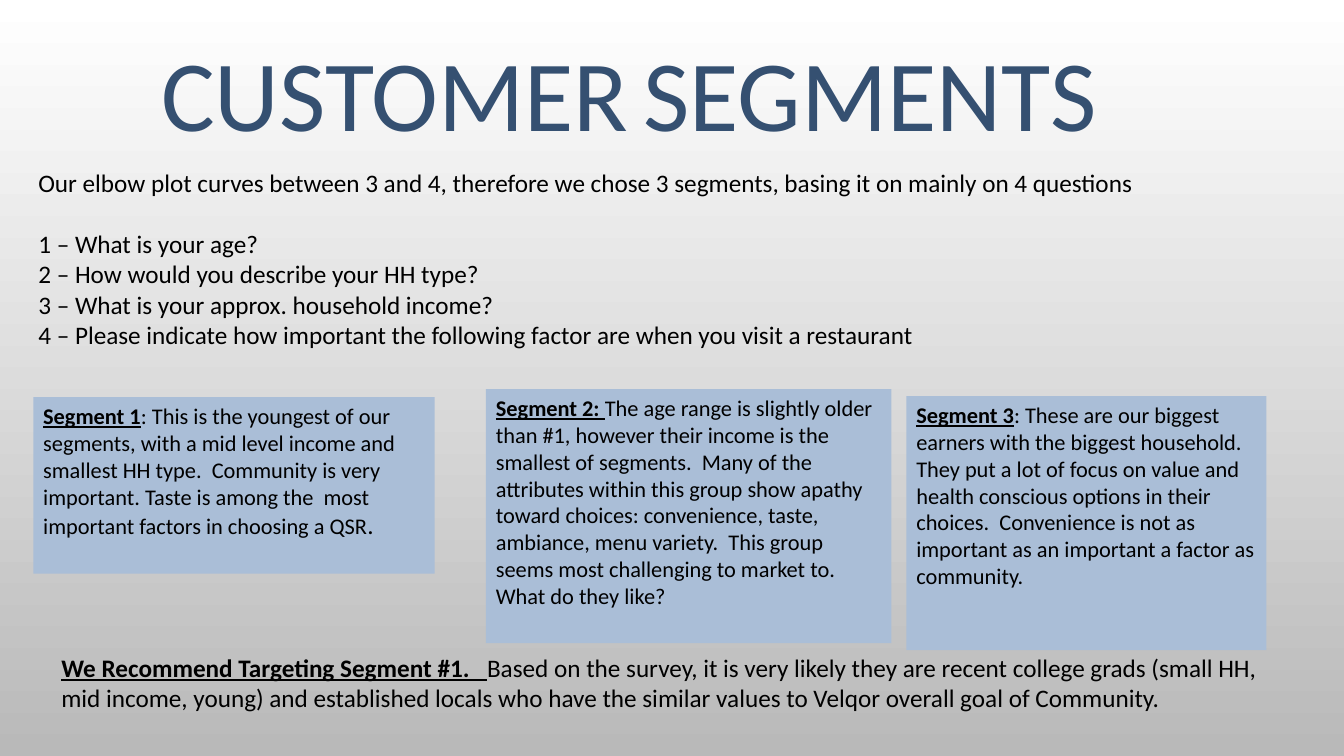
import dataclasses
import typing

import pptx
import pptx.dml.color
import pptx.enum.shapes
import pptx.enum.text
import pptx.oxml.ns
import pptx.slide
import pptx.text.text
import pptx.util

Inches = pptx.util.Inches
Pt = pptx.util.Pt
RGBColor = pptx.dml.color.RGBColor


@dataclasses.dataclass(frozen=True)
class Theme:
    font: str = "Calibri"
    ink: str = "000000"
    title_ink: str = "355071"
    card: str = "AABED7"
    background: tuple[str, str] = ("FFFFFF", "B9B9B9")
    title_size: int = 72
    title_gap_size: int = 48
    body_size: int = 18
    card_size: int = 16


THEME = Theme()


class Box(typing.NamedTuple):
    left: float
    top: float
    width: float
    height: float

    def lengths(self) -> tuple[int, int, int, int]:
        return Inches(self.left), Inches(self.top), Inches(self.width), Inches(self.height)


@dataclasses.dataclass(frozen=True)
class Piece:
    text: str
    size: int
    color: str = THEME.ink
    heading: bool = False


@dataclasses.dataclass(frozen=True)
class Segment:
    box: Box
    pieces: tuple[Piece, ...]


SEGMENTS = (
    Segment(Box(0.33, 3.94, 3.98, 1.75), (
        Piece("Segment 1", THEME.card_size, heading=True),
        Piece(": This is the youngest of our segments, with a mid level income and smallest HH type.  "
              "Community is very important. Taste is among the  most important factors in choosing a QSR",
              THEME.card_size),
        Piece(".", THEME.body_size),
    )),
    Segment(Box(4.82, 3.86, 4.02, 2.52), (
        Piece("Segment 2: ", THEME.card_size, heading=True),
        Piece("The age range is slightly older than #1, however their income is the smallest of segments.  "
              "Many of the attributes within this group show apathy toward choices: convenience, taste, "
              "ambiance, menu variety.  This group seems most challenging to market to. "
              "What do they like?", THEME.card_size),
    )),
    Segment(Box(8.99, 3.93, 3.57, 2.52), (
        Piece("Segment 3", THEME.card_size, heading=True),
        Piece(": These are our biggest earners with the biggest household. They put a lot of focus on value "
              "and health conscious options in their choices.  Convenience is not as important as an "
              "important a factor as community.", THEME.card_size),
    )),
)

TITLE = (
    Piece("CUSTOMER", THEME.title_size, THEME.title_ink),
    Piece(" ", THEME.title_gap_size),
    Piece("SEGMENTS", THEME.title_size, THEME.title_ink),
)

QUESTION_LINES = (
    "Our elbow plot curves between 3 and 4, therefore we chose 3 segments, basing it on mainly on 4 questions",
    "1 – What is your age?",
    "2 – How would you describe your HH type?",
    "3 – What is your approx. household income?",
    "4 – Please indicate how important the following factor are when you visit a restaurant",
)

RECOMMENDATION = (
    Piece("We Recommend Targeting Segment #1.   ", THEME.body_size, heading=True),
    Piece("Based on the survey, it is very likely they are recent college grads (small HH, mid income, "
          "young) and established locals who have the similar values to Velqor overall goal of Community.",
          THEME.body_size),
)


def write_pieces(paragraph: pptx.text.text._Paragraph, pieces: typing.Iterable[Piece]) -> None:
    for piece in pieces:
        run = paragraph.add_run()
        run.text = piece.text
        run.font.name = THEME.font
        run.font.size = Pt(piece.size)
        run.font.color.rgb = RGBColor.from_string(piece.color)
        run.font.bold = piece.heading
        run.font.underline = piece.heading


def prepare_frame(frame: pptx.text.text.TextFrame, anchor: pptx.enum.text.MSO_ANCHOR) -> None:
    frame.word_wrap = True
    frame.auto_size = pptx.enum.text.MSO_AUTO_SIZE.NONE
    frame.vertical_anchor = anchor


def paint_background(slide: pptx.slide.Slide) -> None:
    fill = slide.background.fill
    fill.gradient()
    fill.gradient_angle = 270
    for position, (stop, color) in enumerate(zip(fill.gradient_stops, THEME.background)):
        stop.position = position
        stop.color.rgb = RGBColor.from_string(color)


def add_title(slide: pptx.slide.Slide, box: Box) -> None:
    title = slide.shapes.title
    title.left, title.top, title.width, title.height = box.lengths()
    prepare_frame(title.text_frame, pptx.enum.text.MSO_ANCHOR.BOTTOM)
    paragraph = title.text_frame.paragraphs[0]
    paragraph.alignment = pptx.enum.text.PP_ALIGN.CENTER
    paragraph.line_spacing = 0.9
    write_pieces(paragraph, TITLE)


def add_questions(slide: pptx.slide.Slide, box: Box) -> None:
    body = slide.placeholders[1]
    body.left, body.top, body.width, body.height = box.lengths()
    prepare_frame(body.text_frame, pptx.enum.text.MSO_ANCHOR.TOP)
    for index, line in enumerate(QUESTION_LINES):
        paragraph = body.text_frame.paragraphs[0] if index == 0 else body.text_frame.add_paragraph()
        properties = paragraph._p.get_or_add_pPr()
        properties.set("marL", "0")
        properties.set("indent", "0")
        properties.append(pptx.oxml.parse_xml(f"<a:buNone {pptx.oxml.ns.nsdecls('a')}/>"))
        paragraph.space_before = Pt(22 if index == 1 else 0)
        write_pieces(paragraph, [Piece(line, THEME.body_size)])


def add_segment(slide: pptx.slide.Slide, segment: Segment) -> None:
    shape = slide.shapes.add_shape(pptx.enum.shapes.MSO_SHAPE.RECTANGLE, *segment.box.lengths())
    shape.shadow.inherit = False
    shape.fill.solid()
    shape.fill.fore_color.rgb = RGBColor.from_string(THEME.card)
    shape.line.fill.background()
    prepare_frame(shape.text_frame, pptx.enum.text.MSO_ANCHOR.TOP)
    paragraph = shape.text_frame.paragraphs[0]
    paragraph.alignment = pptx.enum.text.PP_ALIGN.LEFT
    write_pieces(paragraph, segment.pieces)


def add_recommendation(slide: pptx.slide.Slide, box: Box) -> None:
    text_box = slide.shapes.add_textbox(*box.lengths())
    prepare_frame(text_box.text_frame, pptx.enum.text.MSO_ANCHOR.TOP)
    write_pieces(text_box.text_frame.paragraphs[0], RECOMMENDATION)


def main() -> None:
    presentation = pptx.Presentation()
    presentation.slide_width = Inches(13.33)
    presentation.slide_height = Inches(7.5)
    slide = presentation.slides.add_slide(presentation.slide_layouts[1])
    paint_background(slide)
    add_title(slide, Box(0.63, 0.33, 11.22, 1.24))
    add_questions(slide, Box(0.28, 1.61, 12.78, 2.22))
    for segment in SEGMENTS:
        add_segment(slide, segment)
    add_recommendation(slide, Box(0.51, 6.42, 12.22, 0.71))
    presentation.save("out.pptx")


if __name__ == "__main__":
    main()
